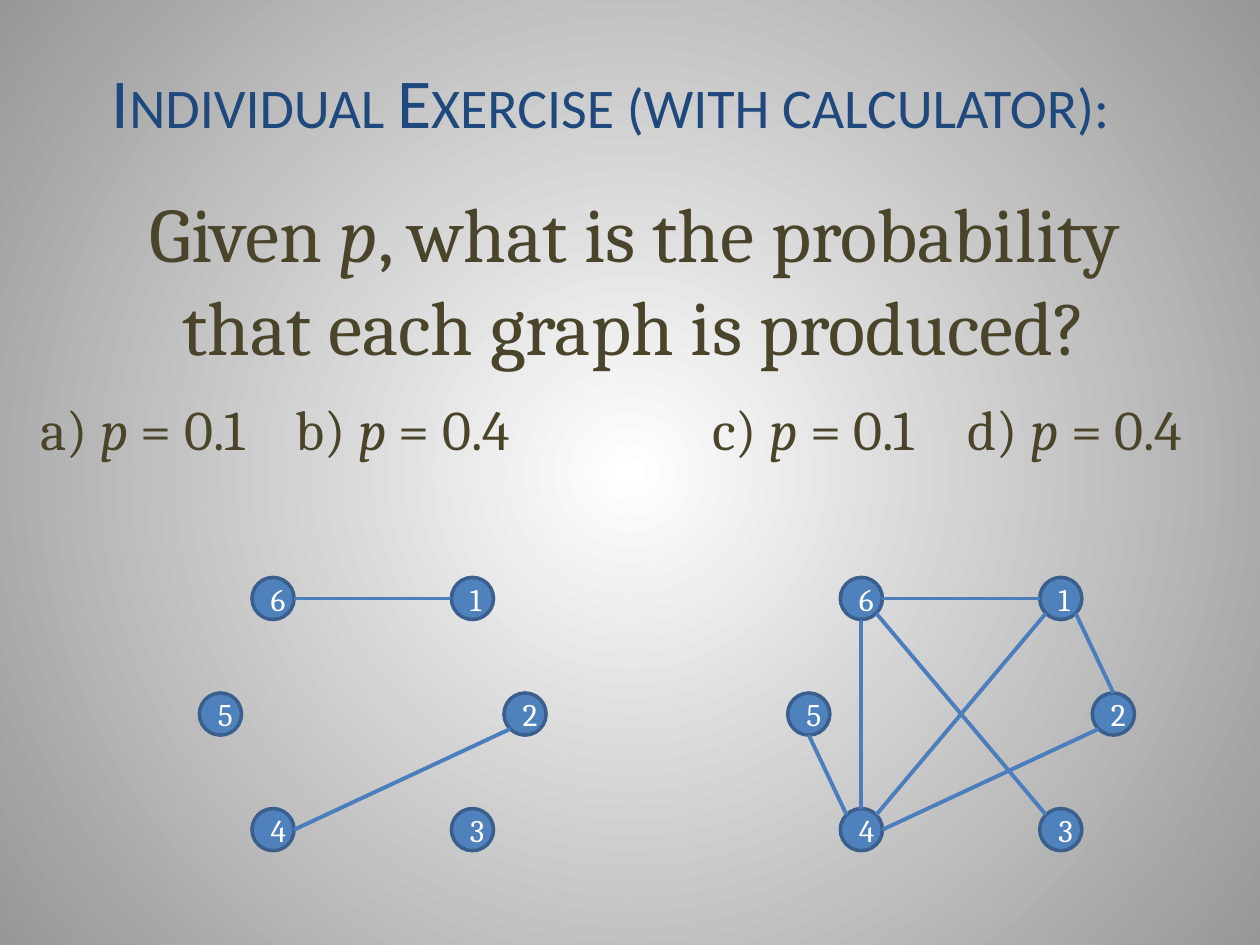
from math import cos, radians, sin

from pptx import Presentation
from pptx.dml.color import RGBColor
from pptx.enum.shapes import MSO_CONNECTOR, MSO_SHAPE
from pptx.enum.text import MSO_ANCHOR, MSO_AUTO_SIZE, PP_ALIGN
from pptx.oxml import parse_xml
from pptx.oxml.ns import nsdecls
from pptx.oxml.xmlchemy import OxmlElement
from pptx.util import Cm, Pt

# Colours and fonts
TITLE_BLUE = RGBColor(0x1F, 0x49, 0x7D)
TEXT_OLIVE = RGBColor(0x4A, 0x45, 0x2A)
NODE_FILL = RGBColor(0x4F, 0x81, 0xBD)
NODE_LINE = RGBColor(0x3A, 0x5F, 0x8C)
EDGE_BLUE = RGBColor(0x4B, 0x7E, 0xBC)
WHITE = RGBColor(0xFF, 0xFF, 0xFF)
EDGE_GREY = RGBColor(0x97, 0x97, 0x97)
TITLE_FONT = "Calibri"
TEXT_FONT = "Cambria"

# Graph geometry in centimetres, node places measured from node 5
DIAMETER = 0.85
ROW_STEP = 2.33
GRAPH_TOP = 11.64
NODES = {5: (0, 1), 4: (1.06, 2), 6: (1.06, 0),
         3: (5.08, 2), 2: (6.14, 1), 1: (5.08, 0)}

# Directions in which an edge leaves a node, clockwise in degrees
RIGHT, LOWER_RIGHT, BOTTOM, LOWER_LEFT = 0, 45, 90, 135
LEFT, UPPER_LEFT, TOP, UPPER_RIGHT = 180, 225, 270, 315

SPARSE_EDGES = [
    (4, RIGHT, 2, LOWER_LEFT),
    (6, RIGHT, 1, LEFT),
]
DENSE_EDGES = SPARSE_EDGES + [
    (2, TOP, 1, LOWER_RIGHT),
    (4, TOP, 6, BOTTOM),
    (4, UPPER_RIGHT, 1, LOWER_LEFT),
    (4, UPPER_LEFT, 5, BOTTOM),
    (3, UPPER_LEFT, 6, LOWER_RIGHT),
]


def set_background(page):
    """Radial gradient, white in the middle."""
    background = parse_xml(
        f'<p:bg {nsdecls("p", "a")}><p:bgPr><a:gradFill rotWithShape="1"><a:gsLst>'
        f'<a:gs pos="0"><a:srgbClr val="{WHITE}"/></a:gs>'
        f'<a:gs pos="100000"><a:srgbClr val="{EDGE_GREY}"/></a:gs></a:gsLst>'
        '<a:path path="circle"><a:fillToRect l="50000" t="50000" r="50000" b="50000"/>'
        '</a:path></a:gradFill><a:effectLst/></p:bgPr></p:bg>')
    page.element.cSld.insert(0, background)


def place(box, left, top, width, height):
    box.left, box.top, box.width, box.height = map(Cm, (left, top, width, height))


def add_span(para, text, size, color, font=TEXT_FONT, italic=None):
    span = para.add_run()
    span.text = text
    span.font.size = Pt(size)
    span.font.name = font
    span.font.color.rgb = color
    span.font.italic = italic
    return span


def fill_title(box):
    place(box, 2, 1.06, 21.6, 3.78)
    frame = box.text_frame
    frame.auto_size = MSO_AUTO_SIZE.NONE
    frame.vertical_anchor = MSO_ANCHOR.TOP
    para = frame.paragraphs[0]
    para.alignment = PP_ALIGN.LEFT
    span = add_span(para, "Individual Exercise (with calculator):",
                    40, TITLE_BLUE, TITLE_FONT)
    span.font._element.set("cap", "small")


def fill_question(box):
    place(box, 2, 3.6, 21.6, 4.02)
    frame = box.text_frame
    frame.auto_size = MSO_AUTO_SIZE.SHAPE_TO_FIT_TEXT
    frame.vertical_anchor = MSO_ANCHOR.MIDDLE
    para = frame.paragraphs[0]
    para.alignment = PP_ALIGN.CENTER
    # No bullet and no hanging indent
    properties = para._p.get_or_add_pPr()
    properties.set("marL", "0")
    properties.set("indent", "0")
    properties.append(OxmlElement("a:buNone"))
    add_span(para, "Given ", 44, TEXT_OLIVE)
    add_span(para, "p", 44, TEXT_OLIVE, italic=True)
    add_span(para, ", what is the probability that each graph is produced?",
             44, TEXT_OLIVE)


def add_cases(page, left, width, first, second):
    """Two cases on one line, the second at a tab stop."""
    box = page.shapes.add_textbox(Cm(left), Cm(7.82), Cm(width), Cm(1.63))
    frame = box.text_frame
    frame.word_wrap = True
    frame.auto_size = MSO_AUTO_SIZE.SHAPE_TO_FIT_TEXT
    frame.vertical_anchor = MSO_ANCHOR.MIDDLE
    frame.margin_left = Cm(0.81)
    frame.margin_right = 0
    para = frame.paragraphs[0]
    para.space_before = Pt(6.4)
    stops = OxmlElement("a:tabLst")
    stop = OxmlElement("a:tab")
    stop.set("pos", str(Cm(5.15)))
    stop.set("algn", "l")
    stops.append(stop)
    para._p.get_or_add_pPr().append(stops)
    for text, italic in ((f"{first}) ", None), ("p", True),
                         (f" = 0.1\t{second}) ", None), ("p", True),
                         (" = 0.4", None)):
        add_span(para, text, 32, TEXT_OLIVE, italic=italic)


def add_node(group, left, number):
    column, row = NODES[number]
    node = group.shapes.add_shape(
        MSO_SHAPE.OVAL, Cm(left + column), Cm(GRAPH_TOP + row * ROW_STEP),
        Cm(DIAMETER), Cm(DIAMETER))
    node.shadow.inherit = False
    node.fill.solid()
    node.fill.fore_color.rgb = NODE_FILL
    node.line.color.rgb = NODE_LINE
    node.line.width = Pt(2)
    node.text_frame.vertical_anchor = MSO_ANCHOR.MIDDLE
    para = node.text_frame.paragraphs[0]
    para.alignment = PP_ALIGN.CENTER
    add_span(para, str(number), 18, WHITE)


def rim_point(left, number, angle):
    """Point on the rim of a node in the given direction."""
    column, row = NODES[number]
    radius = DIAMETER / 2
    x = left + column + radius * (1 + cos(radians(angle)))
    y = GRAPH_TOP + row * ROW_STEP + radius * (1 + sin(radians(angle)))
    return Cm(x), Cm(y)


def add_edge(page, start, end):
    edge = page.shapes.add_connector(MSO_CONNECTOR.STRAIGHT, *start, *end)
    edge.line.color.rgb = EDGE_BLUE
    edge.line.width = Pt(2.25)
    edge._element.spPr.append(OxmlElement("a:effectLst"))


def add_graph(page, left, edges):
    group = page.shapes.add_group_shape()
    for number in NODES:
        add_node(group, left, number)
    for source, source_angle, target, target_angle in edges:
        add_edge(page, rim_point(left, source, source_angle),
                 rim_point(left, target, target_angle))


def main():
    deck = Presentation()
    deck.slide_width, deck.slide_height = Cm(25.4), Cm(19.05)
    page = deck.slides.add_slide(deck.slide_layouts[1])
    set_background(page)

    # Heading and question
    fill_title(page.shapes.title)
    fill_question(page.placeholders[1])

    # Cases above their graphs
    add_cases(page, 0, 11.22, "a", "b")
    add_graph(page, 4.02, SPARSE_EDGES)
    add_cases(page, 13.55, 11, "c", "d")
    add_graph(page, 15.88, DENSE_EDGES)

    deck.save("out.pptx")


if __name__ == "__main__":
    main()
